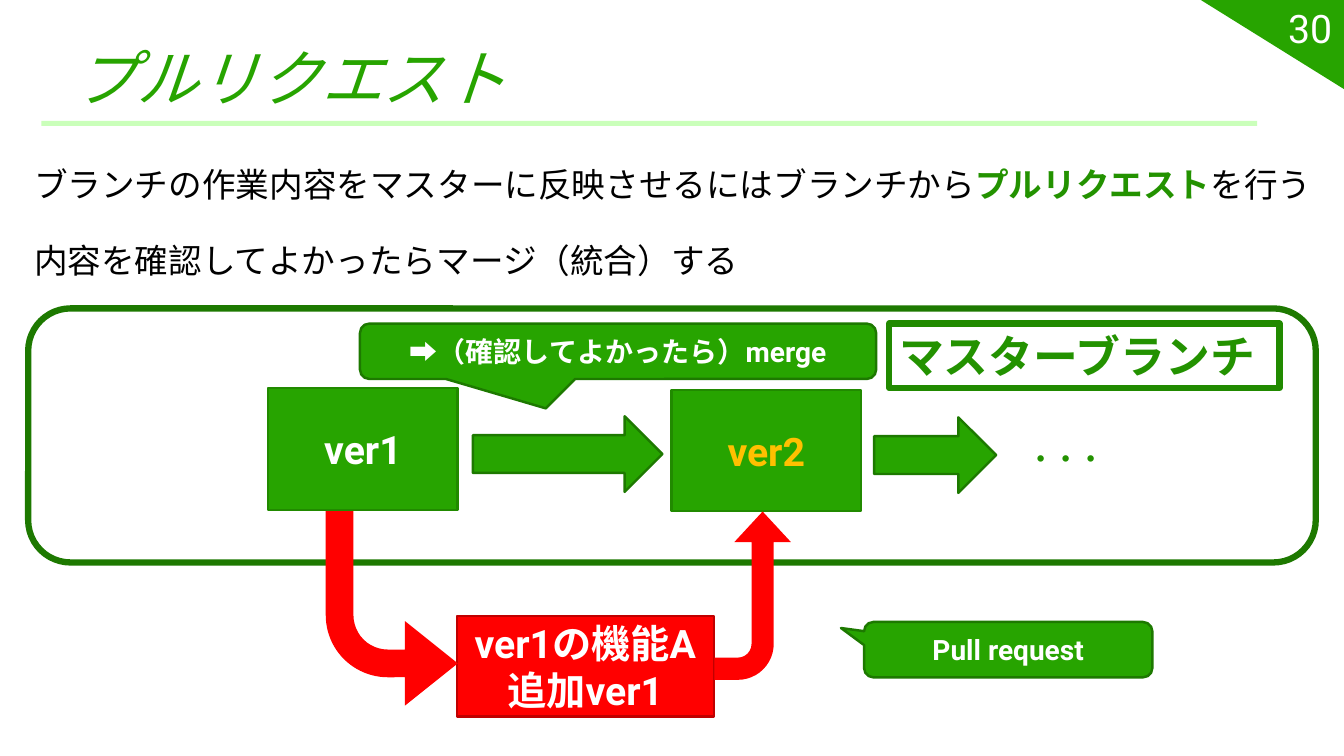
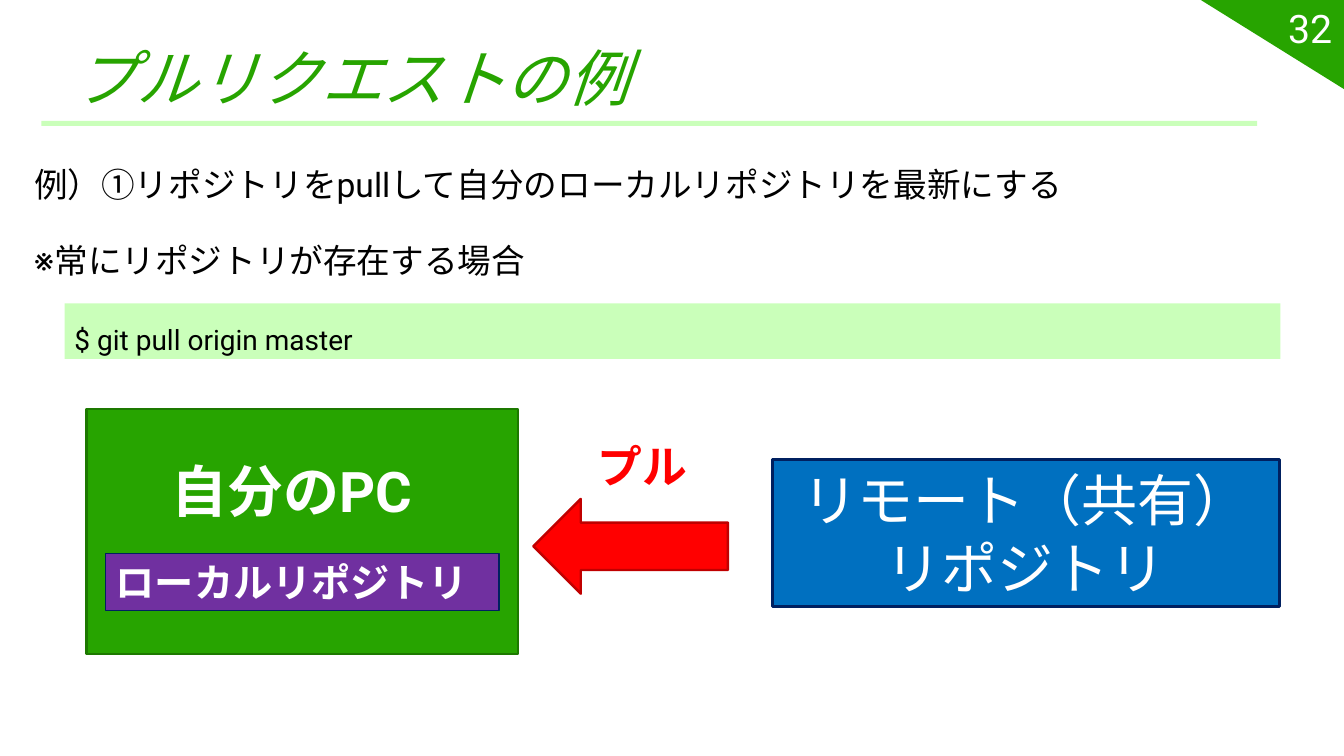
from lxml import etree
from pptx import Presentation
from pptx.dml.color import RGBColor
from pptx.enum.shapes import MSO_SHAPE as Kind
from pptx.enum.text import MSO_ANCHOR as Anchor, MSO_AUTO_SIZE, PP_ALIGN as Align
from pptx.oxml.ns import qn
from pptx.util import Inches, Pt

FONT = "Roboto"
WHITE = RGBColor(0xFF, 0xFF, 0xFF)
BLACK = RGBColor(0x00, 0x00, 0x00)
GREEN = RGBColor(0x27, 0xA4, 0x00)
TEXT_GREEN = RGBColor(0x23, 0x92, 0x00)
EDGE_GREEN = RGBColor(0x21, 0x8A, 0x00)
DARK_GREEN = RGBColor(0x1D, 0x79, 0x00)
PALE_GREEN = RGBColor(0xCA, 0xFF, 0xBA)
RED = RGBColor(0xFF, 0x00, 0x00)
DARK_RED = RGBColor(0xC0, 0x00, 0x00)
AMBER = RGBColor(0xFF, 0xC0, 0x00)
BLUE = RGBColor(0x00, 0x70, 0xC0)
NAVY = RGBColor(0x00, 0x20, 0x60)
PURPLE = RGBColor(0x70, 0x30, 0xA0)

# Body paragraphs are lists of (text, highlighted) runs.
REQUEST_BODY = [
    [("ブランチの作業内容をマスターに反映させるにはブランチから", False),
     ("プルリクエスト", True), ("を行う", False)],
    [("内容を確認してよかったらマージ（統合）する", False)],
]
EXAMPLE_BODY = [
    [("例）①リポジトリをpullして自分のローカルリポジトリを最新にする", False)],
    [("※常にリポジトリが存在する場合", False)],
]

# Shapes: kind, (left, top, width, height), then options of add_box.
CENTERED = dict(align=Align.CENTER, anchor=Anchor.MIDDLE)
LABEL = dict(CENTERED, size=28, bold=True)
VERSION = dict(LABEL, fill=GREEN, line=EDGE_GREEN)
NEXT_ARROW = dict(fill=GREEN, line=DARK_GREEN)
CALLOUT = dict(NEXT_ARROW, **CENTERED, size=20, bold=True)
REQUEST_SHAPES = [
    (Kind.ROUNDED_RECTANGLE, (0.28, 3.06, 12.77, 2.52),
     dict(fill=WHITE, line=DARK_GREEN, weight=4.5)),
    (Kind.RECTANGLE, (4.53, 6.11, 2.55, 1),
     dict(LABEL, lines=["ver1の機能A追加ver1"], fill=RED, line=DARK_RED)),
    (Kind.RECTANGLE, (2.66, 3.85, 1.88, 1.21), dict(VERSION, lines=["ver1"])),
    (Kind.RECTANGLE, (6.66, 3.87, 1.88, 1.2),
     dict(VERSION, lines=["ver2"], color=AMBER)),
    (Kind.RIGHT_ARROW, (4.69, 4.13, 1.88, 0.75), NEXT_ARROW),
    (Kind.RIGHT_ARROW, (8.67, 4.14, 1.21, 0.75), NEXT_ARROW),
    (Kind.RECTANGLE, (8.82, 3.21, 3.87, 0.64),
     dict(lines=["マスターブランチ"], size=32, bold=True, color=TEXT_GREEN,
          line=EDGE_GREEN, weight=4.5)),
    (Kind.RECTANGLE, (10.1, 4.35, 1.3, 0.4),
     dict(lines=["・・・"], size=18, bold=True, color=TEXT_GREEN)),
    (Kind.BENT_ARROW, (6.63, 5.53, 1.67, 0.76),
     dict(fill=RED, rotation=270, flip="flipV", adjust=(0.29, 0.37, 0.4, 0.47))),
    (Kind.BENT_ARROW, (3.23, 5.07, 1.31, 1.93),
     dict(fill=RED, rotation=180, flip="flipH", adjust=(0.21, 0.32, 0.4, 0.47))),
    (Kind.ROUNDED_RECTANGULAR_CALLOUT, (8.57, 6.17, 2.86, 0.55),
     dict(CALLOUT, lines=["Pull request"], adjust=(-0.58, -0.39, 0.17))),
    (Kind.ROUNDED_RECTANGULAR_CALLOUT, (3.57, 3.21, 5.12, 0.55),
     dict(CALLOUT, lines=["➡（確認してよかったら）merge"],
          adjust=(-0.14, 1.03, 0.17))),
]
EXAMPLE_SHAPES = [
    (Kind.RECTANGLE, (0.64, 3.01, 12.06, 0.55),
     dict(lines=["$ git pull origin master"], size=20, color=BLACK,
          fill=PALE_GREEN, anchor=Anchor.MIDDLE, spacing=1.5)),
    (Kind.RECTANGLE, (7.66, 4.56, 5.03, 1.46),
     dict(CENTERED, lines=["リモート（共有）", "リポジトリ"], size=40,
          fill=BLUE, line=NAVY)),
    (Kind.LEFT_ARROW, (5.29, 4.95, 1.93, 0.94), dict(fill=RED, line=DARK_RED)),
    (Kind.RECTANGLE, (0.86, 4.06, 4.28, 2.43), dict(fill=GREEN, line=DARK_GREEN)),
    (Kind.RECTANGLE, (1.6, 4.48, 2.8, 0.77),
     dict(lines=["自分のPC"], size=40, bold=True)),
    (Kind.RECTANGLE, (5.83, 4.3, 2.16, 0.64),
     dict(lines=["プル"], size=32, bold=True, color=RED)),
    (Kind.RECTANGLE, (1.05, 5.49, 3.9, 0.57),
     dict(lines=["ローカルリポジトリ"], size=28, bold=True,
          fill=PURPLE, line=NAVY, weight=0.75)),
]
SLIDES = [
    ("プルリクエスト", "30", REQUEST_BODY, REQUEST_SHAPES),
    ("プルリクエストの例", "32", EXAMPLE_BODY, EXAMPLE_SHAPES),
]


def inches(values):
    return [Inches(value) for value in values]


def style_paragraph(paragraph, size, color, bold=False, italic=False,
                    align=Align.LEFT):
    paragraph.alignment = align
    font = paragraph.font
    font.name, font.size, font.bold, font.italic = FONT, Pt(size), bold, italic
    font.color.rgb = color
    latin = font._element.find(qn("a:latin"))
    east_asian = etree.Element(qn("a:ea"), typeface=FONT)
    latin.addnext(east_asian)


def add_box(slide, kind, at, lines=(), size=18, color=WHITE, bold=False,
            align=Align.LEFT, anchor=Anchor.TOP, spacing=None, fill=None,
            line=None, weight=1.75, rotation=0, flip=None, adjust=()):
    """Add a preset shape, or a plain text box when it has no fill or line."""
    if fill is None and line is None:
        shape = slide.shapes.add_textbox(*inches(at))
    else:
        shape = slide.shapes.add_shape(kind, *inches(at))
        shape.shadow.inherit = False
        if fill is None:
            shape.fill.background()
        else:
            shape.fill.solid()
            shape.fill.fore_color.rgb = fill
        if line is None:
            shape.line.fill.background()
        else:
            shape.line.color.rgb = line
            shape.line.width = Pt(weight)
        shape.rotation = rotation
        if flip:
            shape._element.spPr.find(qn("a:xfrm")).set(flip, "1")
        for index, value in enumerate(adjust):
            shape.adjustments[index] = value
    if lines:
        frame = shape.text_frame
        frame.word_wrap = True
        frame.vertical_anchor = anchor
        frame.text = "\n".join(lines)
        for paragraph in frame.paragraphs:
            paragraph.line_spacing = spacing
            style_paragraph(paragraph, size, color, bold, align=align)


def add_body(slide, body):
    box = slide.shapes.add_textbox(*inches((0.24, 1.38, 13.09, 1.44)))
    frame = box.text_frame
    frame.word_wrap = True
    for index, runs in enumerate(body):
        paragraph = frame.add_paragraph() if index else frame.paragraphs[0]
        paragraph.line_spacing = 1.5
        paragraph.space_before = Pt(4.8 if index else 0)
        paragraph.space_after = Pt(6)
        style_paragraph(paragraph, 24, BLACK)
        for text, highlighted in runs:
            run = paragraph.add_run()
            run.text = text
            if highlighted:
                run.font.bold = True
                run.font.color.rgb = TEXT_GREEN


def add_frame(slide, heading, number):
    """Add what every slide shares: corner, rule, title and page number."""
    add_box(slide, Kind.RIGHT_TRIANGLE, (11.91, 0, 1.43, 0.89), fill=GREEN,
            rotation=180)
    add_box(slide, Kind.RECTANGLE, (0.41, 1.2, 12.06, 0.05), fill=PALE_GREEN)
    title = slide.shapes.title
    title.left, title.top, title.width, title.height = inches(
        (0.64, 0.29, 12.06, 0.89))
    frame = title.text_frame
    frame.text = heading
    frame.auto_size = MSO_AUTO_SIZE.NONE
    frame.vertical_anchor = Anchor.BOTTOM
    style_paragraph(frame.paragraphs[0], 44, GREEN, italic=True)
    add_box(slide, Kind.RECTANGLE, (11.43, 0.08, 1.88, 0.4), [number], size=28,
            align=Align.RIGHT, anchor=Anchor.MIDDLE)


def main():
    presentation = Presentation()
    presentation.slide_width = Inches(13.33)
    presentation.slide_height = Inches(7.5)
    title_only = presentation.slide_layouts[5]
    for heading, number, body, shapes in SLIDES:
        slide = presentation.slides.add_slide(title_only)
        add_frame(slide, heading, number)
        add_body(slide, body)
        for kind, at, options in shapes:
            add_box(slide, kind, at, **options)
    presentation.save("out.pptx")


if __name__ == "__main__":
    main()
